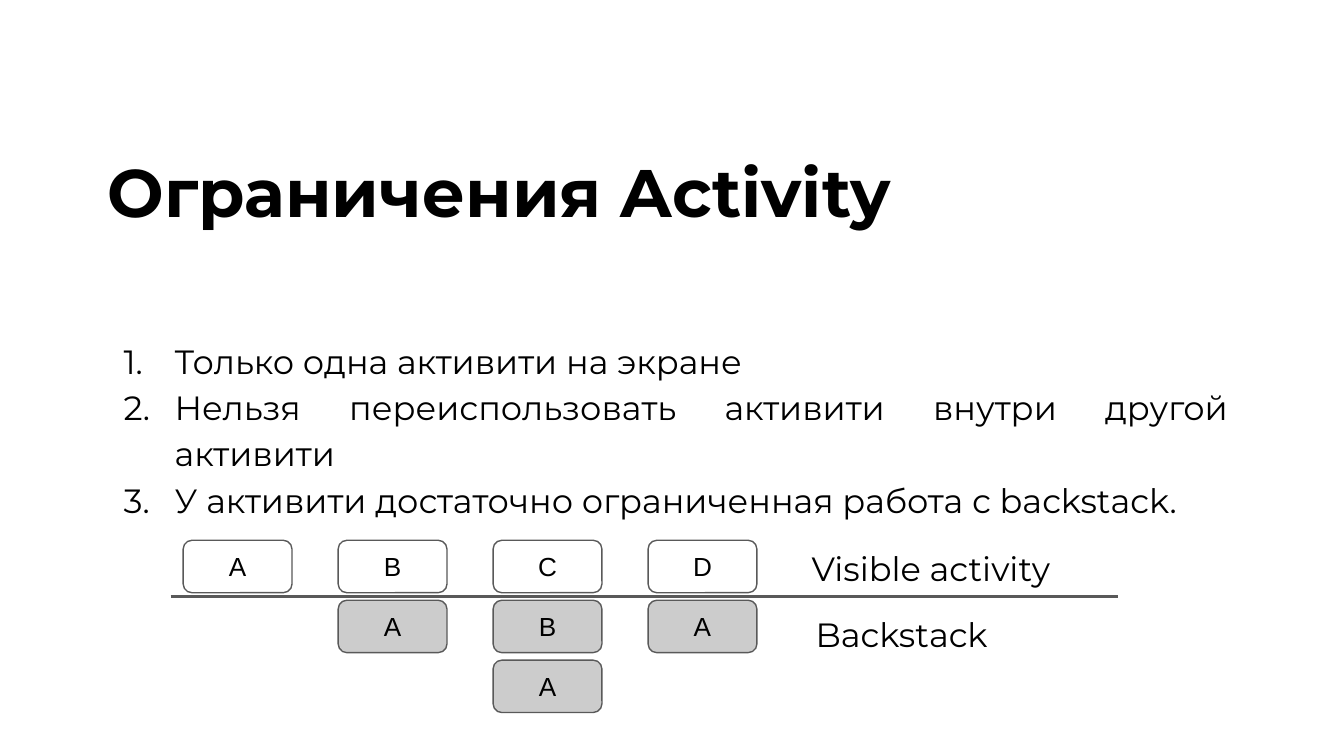
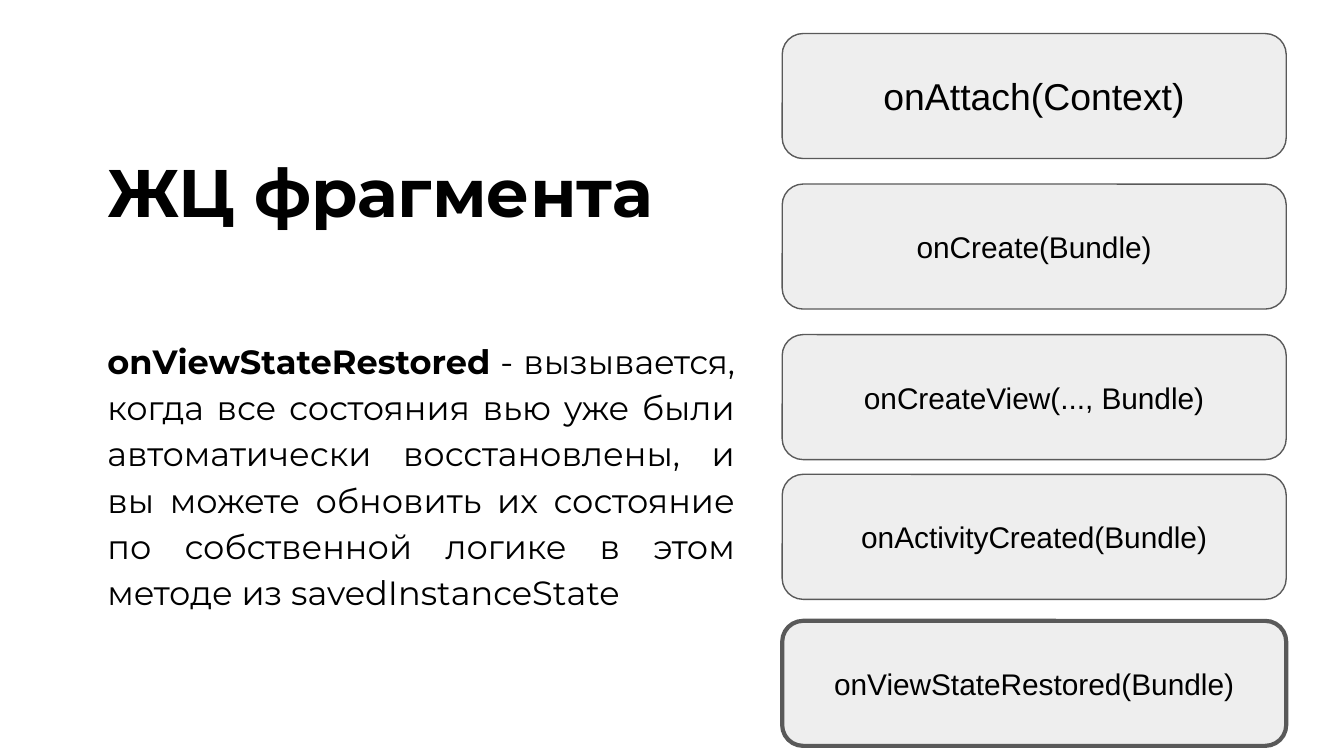
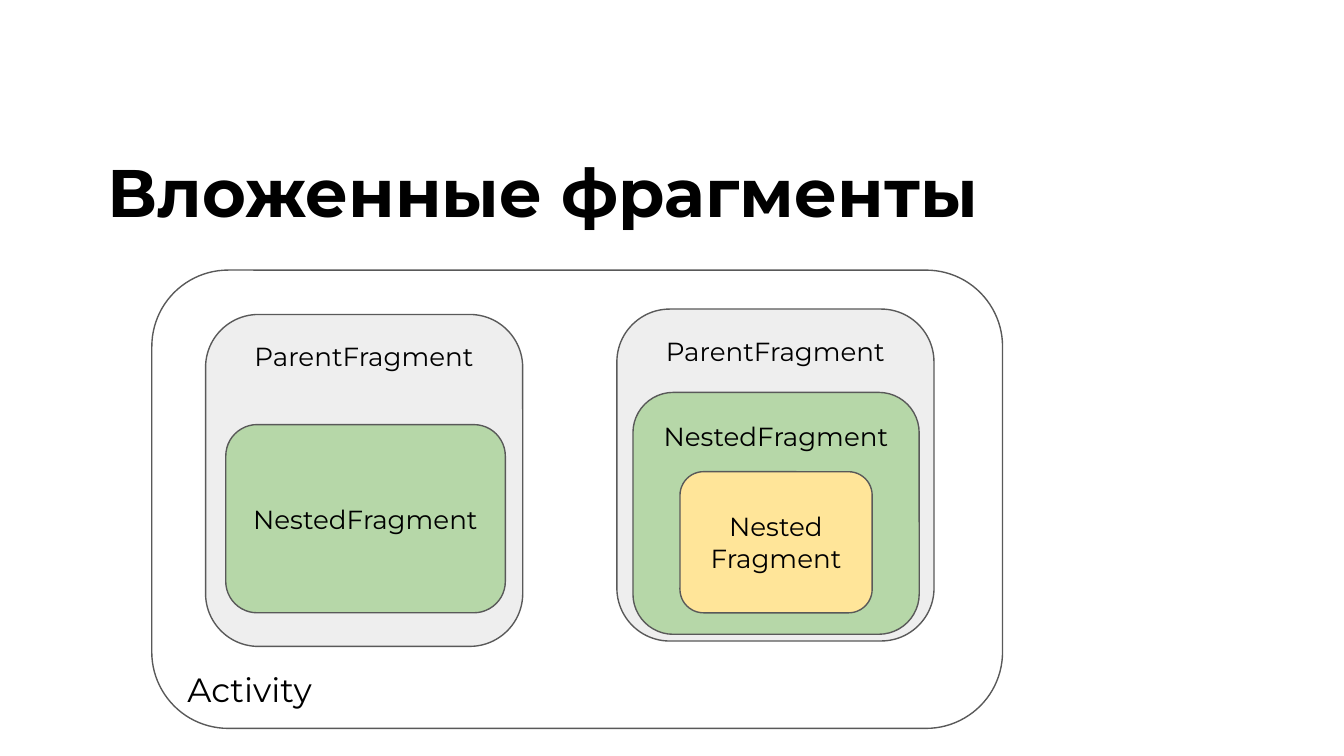
from lxml.etree import SubElement
from pptx import Presentation
from pptx.dml.color import RGBColor
from pptx.enum.shapes import MSO_CONNECTOR, MSO_SHAPE
from pptx.enum.text import MSO_ANCHOR as Anchor, PP_ALIGN as Align
from pptx.oxml.ns import qn
from pptx.util import Inches, Pt

COLORS = {
    "text": "000000",
    "outline": "595959",
    "stacked": "CCCCCC",
    "panel": "EEEEEE",
    "green": "B6D7A8",
    "yellow": "FFE599",
}
TITLE = {"name": "Montserrat", "size": Pt(36), "bold": True}
BODY = {"name": "Montserrat", "size": Pt(18), "bold": False}
LABEL = {"name": "Montserrat", "size": Pt(14), "bold": False}
STACK = {"name": "Arial", "size": Pt(14), "bold": False}
CALLBACK = {"name": "Arial", "size": Pt(16), "bold": False}
LARGE_CALLBACK = CALLBACK | {"size": Pt(20)}

presentation = Presentation()
presentation.slide_width = Inches(10)
presentation.slide_height = Inches(5.625)
CELL = presentation.slide_width / 100
PADDING = 1


def write(shape, paragraphs, style, align=Align.LEFT, anchor=Anchor.TOP, padding=0, top=None, spacing=None):
    frame = shape.text_frame
    side = round(padding * CELL)
    frame_format = {
        "word_wrap": True,
        "vertical_anchor": anchor,
        "margin_left": side,
        "margin_right": side,
        "margin_top": side if top is None else round(top * CELL),
        "margin_bottom": side if top is None else 0,
    }
    for name, value in frame_format.items():
        setattr(frame, name, value)
    for index, runs in enumerate(paragraphs):
        paragraph = frame.add_paragraph() if index else frame.paragraphs[0]
        paragraph.alignment = align
        paragraph.line_spacing = spacing
        for text, changes in runs:
            run = paragraph.add_run()
            run.text = text
            for name, value in (style | changes).items():
                setattr(run.font, name, value)
            run.font.color.rgb = RGBColor.from_string(COLORS["text"])


def add_box(slide, place, fill=None, line=None):
    place = [round(length * CELL) for length in place]
    if line is None:
        return slide.shapes.add_textbox(*place)
    shape = slide.shapes.add_shape(MSO_SHAPE.ROUNDED_RECTANGLE, *place)
    shape.shadow.inherit = False
    if fill:
        shape.fill.solid()
        shape.fill.fore_color.rgb = RGBColor.from_string(COLORS[fill])
    else:
        shape.fill.background()
    shape.line.color.rgb = RGBColor.from_string(COLORS["outline"])
    shape.line.width = Pt(line)
    return shape


slides = []
for title, width in [("Ограничения Activity", 83.4), ("ЖЦ фрагмента", 49.2), ("Вложенные фрагменты", 83.4)]:
    slide = presentation.slides.add_slide(presentation.slide_layouts[6])
    write(add_box(slide, (8, 11.2, width, 11.9)), [[(title, {})]], TITLE)
    slides.append(slide)
limits_slide, lifecycle_slide, nested_slide = slides

limits = [
    "Только одна активити на экране",
    "Нельзя переиспользовать активити внутри другой активити",
    "У активити достаточно ограниченная работа с backstack.",
]
limits_box = add_box(limits_slide, (8, 24.9, 83.4, 26.7))
write(limits_box, [[(limit, {})] for limit in limits], BODY, Align.JUSTIFY, spacing=1.15)
for paragraph in limits_box.text_frame.paragraphs:
    properties = paragraph._p.get_or_add_pPr()
    properties.set("marL", str(Inches(0.5)))
    properties.set("indent", str(-Inches(0.38)))
    SubElement(properties, qn("a:buFont"), typeface="Montserrat")
    SubElement(properties, qn("a:buAutoNum"), type="arabicPeriod")

for column, stack in enumerate(["A", "BA", "CBA", "DA"]):
    for row, activity in enumerate(stack):
        place = (13.63 + 11.53 * column, 40.2 + 4.46 * row, 8.1, 3.9)
        box = add_box(limits_slide, place, "stacked" if row else None, 0.75)
        write(box, [[(activity, {})]], STACK, Align.CENTER, Anchor.MIDDLE, PADDING)

for text, left, top in [("Visible activity", 59.4, 39.8), ("Backstack", 59.7, 44.7)]:
    write(add_box(limits_slide, (left, top, 21.7, 3.9)), [[(text, {})]], BODY, padding=PADDING)

divider_ends = [round(length * CELL) for length in (12.7, 44.4, 83.2, 44.4)]
divider = limits_slide.shapes.add_connector(MSO_CONNECTOR.STRAIGHT, *divider_ends)
divider.line.color.rgb = RGBColor.from_string(COLORS["outline"])
divider.line.width = Pt(1.5)
SubElement(divider._element.spPr, qn("a:effectLst"))

description = [
    ("onViewStateRestored", {"bold": True}),
    (" - вызывается, когда все состояния вью уже были автоматически восстановлены, "
     "и вы можете обновить их состояние по собственной логике в этом методе из savedInstanceState", {}),
]
write(add_box(lifecycle_slide, (8, 24.9, 46.7, 26.7)), [description], BODY, Align.JUSTIFY, spacing=1.15)

for text, top, style, line in [
    ("onAttach(Context)", 2.5, LARGE_CALLBACK, 0.75),
    ("onCreate(Bundle)", 13.7, CALLBACK, 0.75),
    ("onCreateView(..., Bundle)", 24.9, CALLBACK, 0.75),
    ("onActivityCreated(Bundle)", 35.3, CALLBACK, 0.75),
    ("onViewStateRestored(Bundle)", 46.2, CALLBACK, 2.25),
]:
    box = add_box(lifecycle_slide, (58.2, top, 37.5, 9.3), "panel", line)
    write(box, [[(text, {})]], style, Align.CENTER, Anchor.MIDDLE, PADDING)

activity_box = add_box(nested_slide, (11.3, 20.1, 63.3, 34.1), line=0.75)
write(activity_box, [[("Activity", {})]], BODY, padding=PADDING, top=28)

for lines, place, fill, top in [
    (["ParentFragment"], (15.3, 23.4, 23.6, 24.7), "panel", 0.8),
    (["ParentFragment"], (45.9, 23, 23.6, 24.7), "panel", 0.8),
    (["NestedFragment"], (47.1, 29.2, 21.3, 18), "green", 1.2),
    (["NestedFragment"], (16.8, 31.6, 20.8, 14), "green", None),
    (["Nested", "Fragment"], (50.6, 35.1, 14.3, 10.5), "yellow", None),
]:
    anchor = Anchor.MIDDLE if top is None else Anchor.TOP
    box = add_box(nested_slide, place, fill, 0.75)
    write(box, [[(text, {})] for text in lines], LABEL, Align.CENTER, anchor, PADDING, top)

presentation.save("out.pptx")
